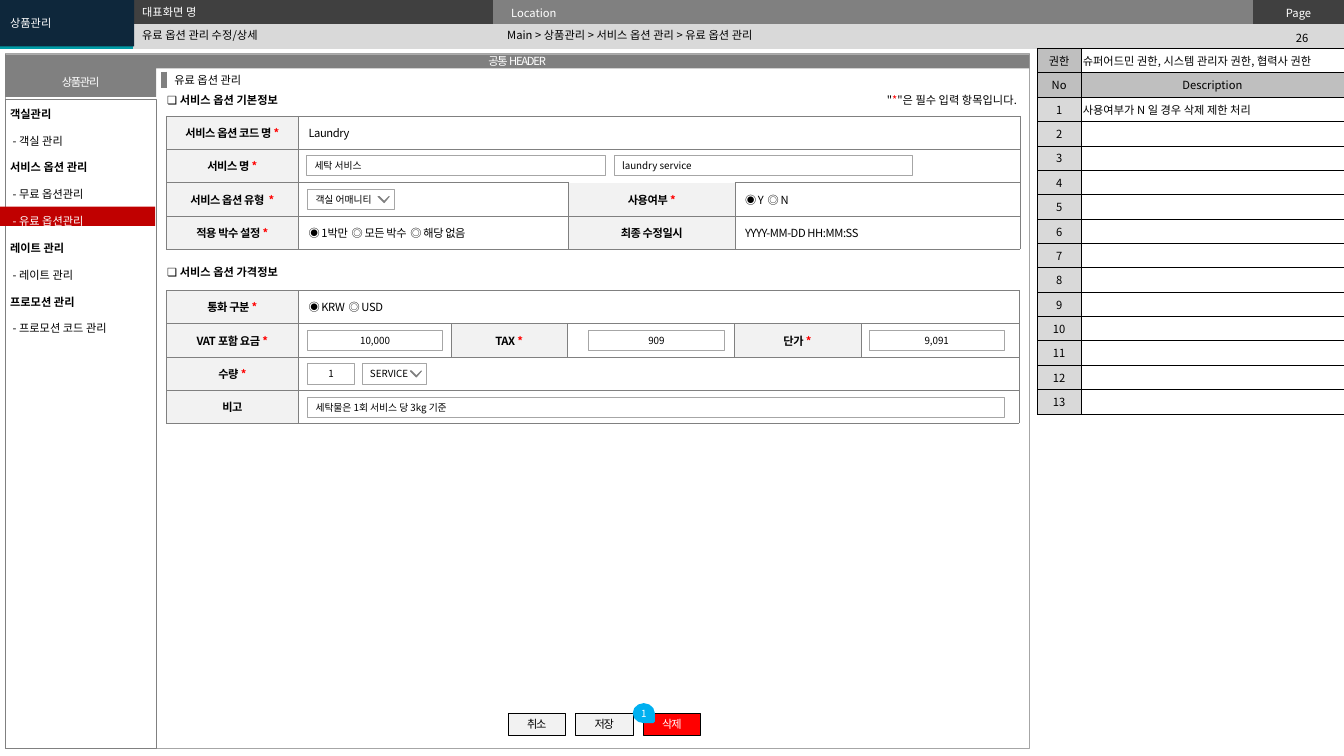
"""Builds the paid service option edit screen of a storyboard."""
from dataclasses import dataclass

from lxml.etree import SubElement
from pptx import Presentation
from pptx.dml.color import RGBColor
from pptx.enum.shapes import MSO_CONNECTOR, MSO_SHAPE
from pptx.enum.text import MSO_ANCHOR, MSO_AUTO_SIZE, PP_ALIGN
from pptx.oxml import parse_xml
from pptx.oxml.ns import nsdecls, qn
from pptx.util import Inches, Pt


@dataclass(frozen=True)
class Theme:
    font: str = "Noto Sans CJK KR"
    size: float = 8
    small: float = 7
    black: str = "000000"
    white: str = "FFFFFF"
    red: str = "FF0000"
    crimson: str = "C00000"
    navy: str = "0E273B"
    teal: str = "009CA6"
    sky: str = "00B0F0"
    charcoal: str = "404040"
    arrow: str = "5F5F5F"
    gray: str = "808080"
    outline: str = "A6A6A6"
    heading: str = "BFBFBF"
    silver: str = "D9D9D9"
    label: str = "F2F2F2"
    plain_table: str = "{2D5ABB26-0587-4C30-8999-92F81FD0307C}"


class Screen:
    def __init__(self, deck, theme):
        self.theme = theme
        self.page = deck.slides.add_slide(deck.slide_layouts[4])
        self.shapes = self.page.shapes

    def set_text(self, frame, lines, size=None, color=None, bold=False, align=PP_ALIGN.LEFT,
                 spacing=0, leading=None, anchor=MSO_ANCHOR.TOP, insets=(0.1, 0.05)):
        frame.word_wrap = True
        frame.auto_size = MSO_AUTO_SIZE.NONE
        frame.vertical_anchor = anchor
        frame.margin_left = frame.margin_right = Inches(insets[0])
        frame.margin_top = frame.margin_bottom = Inches(insets[1])
        for index, line in enumerate([lines] if isinstance(lines, str) else lines):
            text, style = (line, {}) if isinstance(line, str) else line
            para = frame.add_paragraph() if index else frame.paragraphs[0]
            self.fill_para(para, text, align, leading, size=size, spacing=spacing,
                           **{"color": color, "bold": bold, **style})

    def fill_para(self, para, text, align, leading, color, **style):
        para.alignment = align
        para.space_before = Pt(0)
        if leading:
            para.line_spacing = leading
        for piece in text.partition("*"):
            if piece:
                self.span(para, piece, self.theme.red if piece == "*" else color, **style)

    def span(self, para, text, color, size, bold, spacing):
        span = para.add_run()
        span.text = text
        span.font.size = Pt(size or self.theme.size)
        span.font.bold = bold
        span.font.color.rgb = RGBColor.from_string(color or self.theme.black)
        span.font.name = self.theme.font
        properties = span._r.get_or_add_rPr()
        SubElement(properties, qn("a:ea")).set("typeface", self.theme.font)
        if spacing:
            properties.set("spc", str(round(spacing * 100)))

    def paint(self, shape, fill=None, line=None, weight=0.25):
        if fill:
            shape.fill.solid()
            shape.fill.fore_color.rgb = RGBColor.from_string(fill)
        else:
            shape.fill.background()
        if line:
            shape.line.color.rgb = RGBColor.from_string(line)
            shape.line.width = Pt(weight)
        else:
            shape.line.fill.background()

    def placeholder(self, index, area, text, fill=None, **style):
        box = self.page.placeholders[index]
        box.left, box.top, box.width, box.height = map(Inches, area)
        self.paint(box, fill)
        self.set_text(box.text_frame, text, **style)
        for para in box.text_frame.paragraphs:
            properties = para._p.get_or_add_pPr()
            properties.set("marL", "0")
            properties.set("indent", "0")
            SubElement(properties, qn("a:buNone"))
        box._element.getparent().append(box._element)

    def label(self, area, text, **style):
        box = self.shapes.add_textbox(*map(Inches, area))
        self.set_text(box.text_frame, text, **style)

    def block(self, area, text="", fill=None, line=None, weight=0.25,
              kind=MSO_SHAPE.RECTANGLE, **style):
        shape = self.shapes.add_shape(kind, *map(Inches, area))
        shape.shadow.inherit = False
        self.paint(shape, fill, line, weight)
        if text:
            self.set_text(shape.text_frame, text, anchor=MSO_ANCHOR.MIDDLE, **style)
        return shape

    def field(self, left, top, width, text, align=PP_ALIGN.LEFT):
        self.block((left, top, width, 0.2), text, self.theme.white, self.theme.outline, 0.5,
                   size=self.theme.small, align=align, insets=(0.08, 0.04))

    def dropdown(self, left, top, width, text):
        self.field(left, top, width, text)
        right, high = left + width - 0.05, top + 0.07
        corners = [(0, 0), (-0.05, 0.05), (-0.1, 0), (-0.11, 0), (-0.05, 0.06)]
        points = [(Inches(right + x), Inches(high + y)) for x, y in corners]
        builder = self.shapes.build_freeform(*points[0], scale=1.0)
        builder.add_line_segments(points[1:], close=True)
        arrow = builder.convert_to_shape()
        arrow.shadow.inherit = False
        self.paint(arrow, self.theme.arrow, self.theme.gray, 0.75)

    def marker(self, left, top, bottom, weight):
        line = self.shapes.add_connector(MSO_CONNECTOR.STRAIGHT, *map(Inches, (left, top, left, bottom)))
        line.line.color.rgb = RGBColor.from_string(self.theme.gray)
        line.line.width = Pt(weight)
        SubElement(line._element.spPr, qn("a:effectLst"))

    def table(self, left, top, widths, row_height, count):
        area = (left, top, sum(widths), row_height * count)
        table = self.shapes.add_table(count, len(widths), *map(Inches, area)).table
        table.first_row = table.horz_banding = False
        table._tbl.tblPr.find(qn("a:tableStyleId")).text = self.theme.plain_table
        for column, width in zip(table.columns, widths):
            column.width = Inches(width)
        for row in table.rows:
            row.height = Inches(row_height)
        return table

    def cell(self, cell, text="", fill=None, borders=(), **style):
        if text:
            self.set_text(cell.text_frame, text, **style)
        else:
            SubElement(cell.text_frame.paragraphs[0]._p, qn("a:endParaRPr")).set("sz", "800")
        if "insets" in style:
            cell.margin_left = cell.margin_right = Inches(style["insets"][0])
            cell.margin_top = cell.margin_bottom = Inches(style["insets"][1])
        cell.vertical_anchor = style.get("anchor", MSO_ANCHOR.TOP)
        if fill:
            cell.fill.solid()
            cell.fill.fore_color.rgb = RGBColor.from_string(fill)
        for place, (side, color, weight) in enumerate(borders):
            cell._tc.get_or_add_tcPr().insert(place, parse_xml(
                f'<a:ln{side} {nsdecls("a")} w="{int(Pt(weight))}"><a:solidFill>'
                f'<a:srgbClr val="{color}"/></a:solidFill></a:ln{side}>'))

    def form(self, top, widths, rows, bare_cell=None):
        theme = self.theme
        table = self.table(1.65, top, widths, 0.33, len(rows))
        last = len(widths) - 1
        for number, row in enumerate(rows):
            for column in range(last + 1):
                title = column % 2 == 0 and column < len(row)
                borders = [(side, theme.gray, 0.25) for side in "LRTB"]
                if bare_cell == (number, column):
                    borders[2] = ("T", theme.white, 1)
                if bare_cell == (number + 1, column):
                    borders[3] = ("B", theme.white, 1)
                self.cell(table.cell(number, column), row[column] if column < len(row) else "",
                          theme.label if title else theme.white, borders, bold=title, spacing=-0.3,
                          align=PP_ALIGN.CENTER if title else PP_ALIGN.LEFT, anchor=MSO_ANCHOR.MIDDLE)
            if len(row) <= last:
                table.cell(number, len(row) - 1).merge(table.cell(number, last))


def draw_header(screen, theme):
    table = screen.table(0, 0, [1.32, 3.57, 7.54, 0.9], 0.24, 2)
    texts = [["", "", "Location", "Page"], [""] * 4]
    fills = [[theme.teal, theme.charcoal, theme.gray, theme.charcoal], [theme.teal] + [theme.silver] * 3]
    for row in range(2):
        for column in range(4):
            screen.cell(table.cell(row, column), texts[row][column], fills[row][column],
                        color=theme.white, insets=(0.18, 0.04),
                        align=PP_ALIGN.CENTER if column == 3 else PP_ALIGN.LEFT)
    table.cell(0, 0).merge(table.cell(1, 0))
    screen.label((12.48, 0.26, 0.87, 0.24), "26", align=PP_ALIGN.CENTER)
    screen.block((0.05, 0.53, 10.16, 6.89), line=theme.outline)
    middle = MSO_ANCHOR.MIDDLE
    screen.placeholder(0, (1.31, 0.24, 3.63, 0.22), "유료 옵션 관리 수정/상세", anchor=middle)
    screen.placeholder(1, (4.93, 0.23, 7.38, 0.24), "Main > 상품관리 > 서비스 옵션 관리 > 유료 옵션 관리", anchor=middle)
    screen.placeholder(2, (1.31, 0, 3.62, 0.22), "대표화면 명", color=theme.white)
    screen.placeholder(3, (0, 0, 1.33, 0.46), "상품관리", theme.navy, color=theme.white, anchor=middle)
    screen.block((0.05, 0.98, 1.5, 6.44), line=theme.gray)
    for area, text in [((0.05, 0.54, 10.16, 0.14), "공통 HEADER"), ((0.05, 0.67, 1.5, 0.29), "상품관리")]:
        screen.block(area, text, theme.gray, color=theme.white, spacing=-0.9,
                     align=PP_ALIGN.CENTER, insets=(0.04, 0.05))


def draw_description(screen, theme):
    rows = [("권한", "슈퍼어드민 권한, 시스템 관리자 권한, 협력사 권한"), ("No", "Description"),
            ("1", "사용여부가 N 일 경우 삭제 제한 처리")] + [(str(number), "") for number in range(2, 14)]
    table = screen.table(10.29, 0.48, [0.43, 2.61], 3.56 / len(rows), len(rows))
    borders = [(side, theme.black, 0.5) for side in "LRTB"]
    for number, (key, text) in enumerate(rows):
        heading = number == 1
        screen.cell(table.cell(number, 0), key, theme.heading if number < 2 else theme.silver, borders,
                    align=PP_ALIGN.CENTER, anchor=MSO_ANCHOR.MIDDLE, insets=(0.02, 0.04))
        screen.cell(table.cell(number, 1), text, theme.heading if heading else theme.white, borders,
                    align=PP_ALIGN.CENTER if heading else PP_ALIGN.LEFT, insets=(0.02, 0.04))


def draw_forms(screen, theme):
    center = PP_ALIGN.CENTER
    screen.label((1.63, 0.68, 2.41, 0.24), "유료 옵션 관리")
    screen.marker(1.63, 0.71, 0.87, 4.5)
    screen.form(1.15, [1.31, 2.68, 1.65, 2.83], [
        ["서비스 옵션 코드 명 *", "Laundry"], ["서비스 명 *", ""],
        ["서비스 옵션 유형  *", "", "사용여부 *", "◉ Y  ◎ N"],
        ["적용 박수 설정 *", "◉ 1박만  ◎ 모든 박수  ◎ 해당 없음", "최종 수정일시", "YYYY-MM-DD HH:MM:SS"],
    ], bare_cell=(2, 2))
    screen.form(2.88, [1.31, 1.51, 1.16, 1.65, 1.26, 1.57], [
        ["통화 구분 *", "◉ KRW  ◎ USD"], ["VAT 포함 요금 *", "", "TAX *", "", "단가 *", ""],
        ["수량 *", ""], ["비고", ""]])
    for top, text in [(0.88, "❏ 서비스 옵션 기본정보"), (2.58, "❏ 서비스 옵션 가격정보")]:
        screen.label((1.56, top, 1.8, 0.24), text, bold=True)
    screen.label((8.53, 0.88, 1.68, 0.24), '"*"은 필수 입력 항목입니다. ', align=PP_ALIGN.RIGHT)
    for left, text in [(3.04, "세탁 서비스"), (6.09, "laundry service")]:
        screen.field(left, 1.54, 2.96, text)
    for left, text in [(3.05, "10,000"), (5.84, "909"), (8.62, "9,091")]:
        screen.field(left, 3.28, 1.34, text, center)
    screen.field(3.05, 3.61, 0.47, "1", center)
    screen.field(3.05, 3.94, 6.91, "세탁물은 1회 서비스 당 3kg 기준")
    screen.dropdown(3.05, 1.88, 0.86, "객실 어매니티")
    screen.dropdown(3.59, 3.61, 0.64, "SERVICE")


def draw_buttons(screen, theme):
    buttons = [("취소", theme.label, theme.black), ("저장", theme.label, theme.black),
               ("삭제", theme.red, theme.white)]
    for number, (text, fill, color) in enumerate(buttons):
        screen.block((5.04 + 0.67 * number, 7.08, 0.57, 0.21), text, fill, theme.black,
                     color=color, spacing=-0.9, align=PP_ALIGN.CENTER, insets=(0, 0))
    badge = screen.block((6.3, 6.98, 0.17, 0.19), "1", theme.sky, theme.sky, 2, MSO_SHAPE.TEAR,
                         size=theme.small, color=theme.white, align=PP_ALIGN.CENTER, insets=(0, 0))
    badge.rotation = 90
    badge.text_frame._txBody.bodyPr.set("vert", "vert270")


def draw_menu(screen, theme):
    screen.block((0, 2.05, 1.54, 0.19), fill=theme.crimson)
    strong, active = {"bold": True}, {"color": theme.white}
    screen.placeholder(4, (0, 0.88, 1.58, 2.48), [
        ("객실관리", strong), " - 객실 관리", ("서비스 옵션 관리", strong), " - 무료 옵션관리",
        (" - 유료 옵션관리", active), ("레이트 관리", strong), " - 레이트 관리",
        ("프로모션 관리", strong), " - 프로모션 코드 관리"], leading=2.0)


def main():
    deck = Presentation()
    deck.slide_width, deck.slide_height = Inches(13.33), Inches(7.5)
    theme = Theme()
    screen = Screen(deck, theme)
    for draw in (draw_header, draw_description, draw_forms, draw_buttons, draw_menu):
        draw(screen, theme)
    deck.save("out.pptx")


if __name__ == "__main__":
    main()
